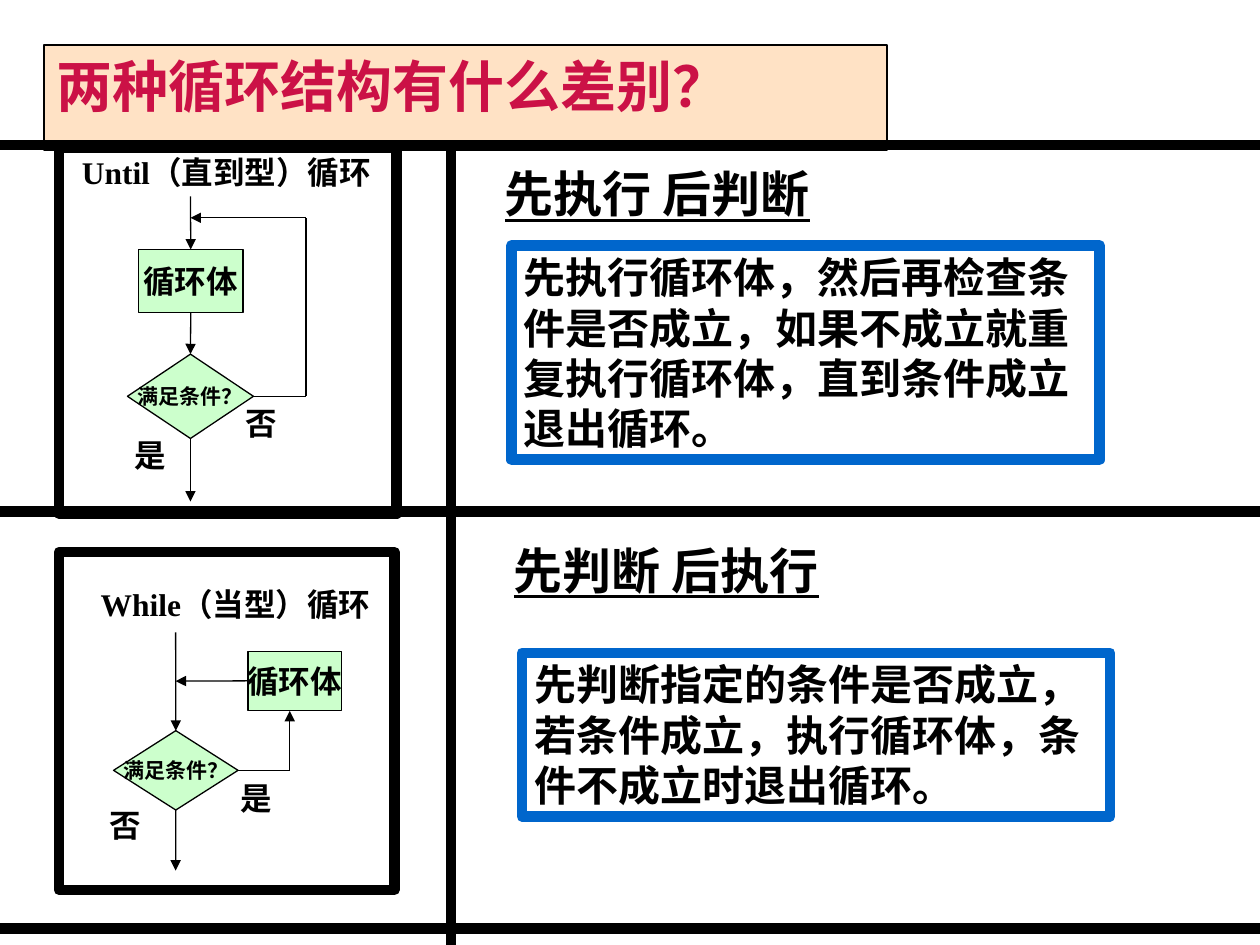
from dataclasses import dataclass
from itertools import pairwise

import pptx
import pptx.dml.color
import pptx.enum.shapes
import pptx.enum.text
import pptx.oxml
import pptx.oxml.ns
import pptx.util
from pptx.util import Cm

SHAPES = pptx.enum.shapes.MSO_SHAPE
ANCHOR = pptx.enum.text.MSO_ANCHOR
ALIGN = pptx.enum.text.PP_ALIGN
TOP, LEFT, BOTTOM, RIGHT = range(4)


@dataclass(frozen=True)
class Theme:
    ink: str = "000000"
    title: str = "CB1146"
    title_fill: str = "FFE2C5"
    node_fill: str = "CCFFCC"
    box_line: str = "0066CC"
    heading_font: str = "DejaVu Sans"
    body_font: str = "Cabin"
    label_font: str = "Times New Roman"
    node_font: str = "Arial"
    title_size: float = 32
    heading_size: float = 28
    body_size: float = 24
    label_size: float = 18
    condition_size: float = 12
    thick: float = 6
    thin: float = 0.75


THEME = Theme()


def rgb(value):
    return pptx.dml.color.RGBColor.from_string(value)


def set_line(line, color, width):
    line.color.rgb = rgb(color)
    line.width = pptx.util.Pt(width)


def write(shape, text, font, size, color=THEME.ink, align=ALIGN.LEFT,
          anchor=ANCHOR.TOP, wrap=True, underline=None):
    frame = shape.text_frame
    frame.text = text
    frame.word_wrap = wrap
    frame.vertical_anchor = anchor
    paragraph = frame.paragraphs[0]
    paragraph.alignment = align
    style = paragraph.runs[0].font
    style.name, style.size, style.bold = font, pptx.util.Pt(size), True
    style.underline = underline
    style.color.rgb = rgb(color)


def add_title(slide, text, left, top, width, height):
    title = slide.shapes.title
    title.left, title.top, title.width, title.height = map(
        Cm, (left, top, width, height))
    title.fill.solid()
    title.fill.fore_color.rgb = rgb(THEME.title_fill)
    set_line(title.line, THEME.ink, 1)
    write(title, text, THEME.heading_font, THEME.title_size, THEME.title)
    title.text_frame.auto_size = pptx.enum.text.MSO_AUTO_SIZE.SHAPE_TO_FIT_TEXT


def add_label(shapes, text, left, top, width=1.9, height=1.02,
              font=THEME.label_font, size=THEME.label_size, underline=None):
    label = shapes.add_textbox(Cm(left), Cm(top), Cm(width), Cm(height))
    write(label, text, font, size, underline=underline)


def add_box(shapes, bounds, line, width=THEME.thick, kind=SHAPES.RECTANGLE, fill=None):
    box = shapes.add_shape(kind, *map(Cm, bounds))
    box.shadow.inherit = False
    if fill:
        box.fill.solid()
        box.fill.fore_color.rgb = rgb(fill)
    else:
        box.fill.background()
    set_line(box.line, line, width)
    return box


def add_node(shapes, text, bounds, kind, font, size):
    node = add_box(shapes, bounds, THEME.ink, THEME.thin, kind, THEME.node_fill)
    write(node, text, font, size, align=ALIGN.CENTER, anchor=ANCHOR.MIDDLE, wrap=False)
    return node


def add_line(shapes, start, end, width=THEME.thin, arrow=False):
    """Draw a straight line; start and end are (x, y) or (node, side)."""
    def place(point):
        return (0, 0) if hasattr(point[0], "shape_id") else map(Cm, point)

    line = shapes.add_connector(pptx.enum.shapes.MSO_CONNECTOR.STRAIGHT,
                                *place(start), *place(end))
    for point, connect in ((start, line.begin_connect), (end, line.end_connect)):
        if hasattr(point[0], "shape_id"):
            connect(*point)
    set_line(line.line, THEME.ink, width)
    if arrow:
        head = pptx.oxml.parse_xml(
            f'<a:tailEnd {pptx.oxml.ns.nsdecls("a")} type="triangle"/>')
        line.line._get_or_add_ln().append(head)
    line._element.spPr.append(
        pptx.oxml.parse_xml(f'<a:effectLst {pptx.oxml.ns.nsdecls("a")}/>'))


def add_route(shapes, *points):
    """Chain straight lines through the points, with an arrow on the last."""
    for start, end in pairwise(points):
        add_line(shapes, start, end, arrow=end is points[-1])


def add_flowchart(slide, frame, caption, body, condition, font, yes, no):
    shapes = slide.shapes.add_group_shape().shapes
    loop_body = add_node(shapes, "循环体", body, SHAPES.FLOWCHART_PROCESS,
                         font, THEME.label_size)
    test = add_node(shapes, "满足条件？", condition, SHAPES.FLOWCHART_DECISION,
                    font, THEME.condition_size)
    add_label(shapes, *caption)
    add_label(shapes, "是", *yes)
    add_label(shapes, "否", *no)
    add_box(shapes, frame, THEME.ink)
    return shapes, loop_body, test


def add_until_loop(slide):
    shapes, loop_body, test = add_flowchart(
        slide, (1.19, 2.97, 6.81, 7.39), ("Until（直到型）循环", 1.4, 2.97, 6.7),
        (2.79, 5.03, 2.11, 1.27), (2.57, 7.14, 2.54, 1.7),
        THEME.node_font, yes=(2.46, 8.66), no=(4.7, 8.03))
    axis, return_x, return_y = 3.84, 6.17, 4.39
    add_route(shapes, (axis, 3.96), (loop_body, TOP))
    add_route(shapes, (loop_body, BOTTOM), (test, TOP))
    add_route(shapes, (test, BOTTOM), (axis, 10.11))
    add_route(shapes, (test, RIGHT), (return_x, 7.99), (return_x, return_y),
              (axis, return_y))


def add_while_loop(slide):
    shapes, loop_body, test = add_flowchart(
        slide, (1.19, 11.13, 6.76, 6.81), ("While（当型）循环", 1.78, 11.66, 6.17),
        (5, 13.13, 1.88, 1.19), (2.29, 14.73, 2.51, 1.6),
        THEME.label_font, yes=(4.6, 15.57), no=(1.96, 16.13))
    axis, branch_x = 3.54, 5.84
    add_route(shapes, (axis, 12.75), (test, TOP))
    add_route(shapes, (test, BOTTOM), (axis, 17.55))
    add_route(shapes, (test, RIGHT), (branch_x, 15.53), (branch_x, 14.33))
    add_route(shapes, (loop_body, LEFT), (axis, 13.73))


def add_explanation(slide, heading, heading_at, text, bounds):
    box = add_box(slide.shapes, bounds, THEME.box_line)
    write(box, text, THEME.body_font, THEME.body_size)
    add_label(slide.shapes, heading, *heading_at, 8.2, 1.45,
              THEME.heading_font, THEME.heading_size, underline=True)


def main():
    deck = pptx.Presentation()
    deck.slide_width, deck.slide_height = Cm(25.4), Cm(19.05)
    slide = deck.slides.add_slide(deck.slide_layouts.get_by_name("Title Only"))
    add_title(slide, "两种循环结构有什么差别？", 0.89, 0.91, 16.99, 1.63)

    # Explanations on the right
    add_explanation(
        slide, "先执行 后判断", (9.93, 3.18),
        "先执行循环体，然后再检查条件是否成立，如果不成立就重复执行循环体，直到条件成立退出循环。",
        (10.31, 4.95, 11.86, 4.32))
    add_explanation(
        slide, "先判断 后执行", (10.11, 10.77),
        "先判断指定的条件是否成立，若条件成立，执行循环体，条件不成立时退出循环。",
        (10.52, 13.16, 11.86, 3.3))

    # Dividing rules
    for y in (2.92, 10.31, 18.72):
        add_line(slide.shapes, (0, y), (25.4, y), THEME.thick)
    add_line(slide.shapes, (9.09, 2.92), (9.09, 19.05), THEME.thick)

    # Flowcharts on the left
    add_while_loop(slide)
    add_until_loop(slide)

    deck.save("out.pptx")


if __name__ == "__main__":
    main()
